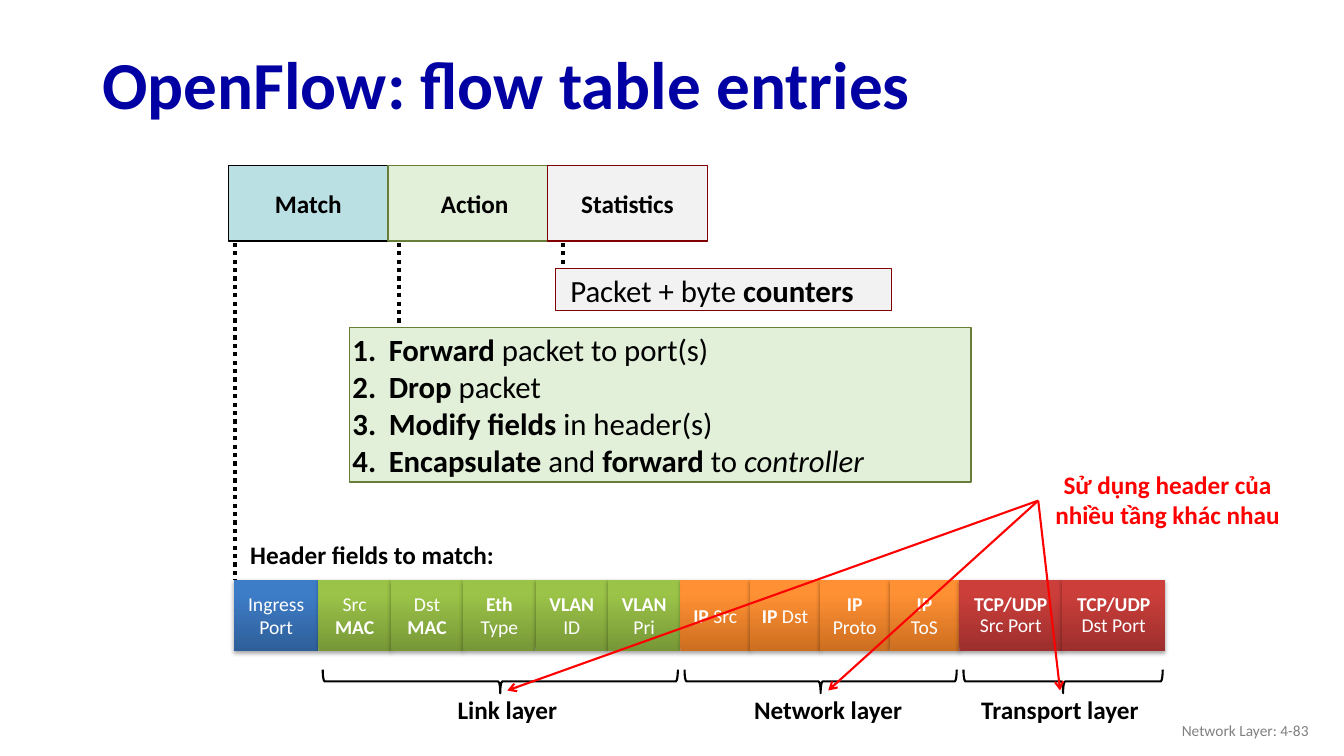
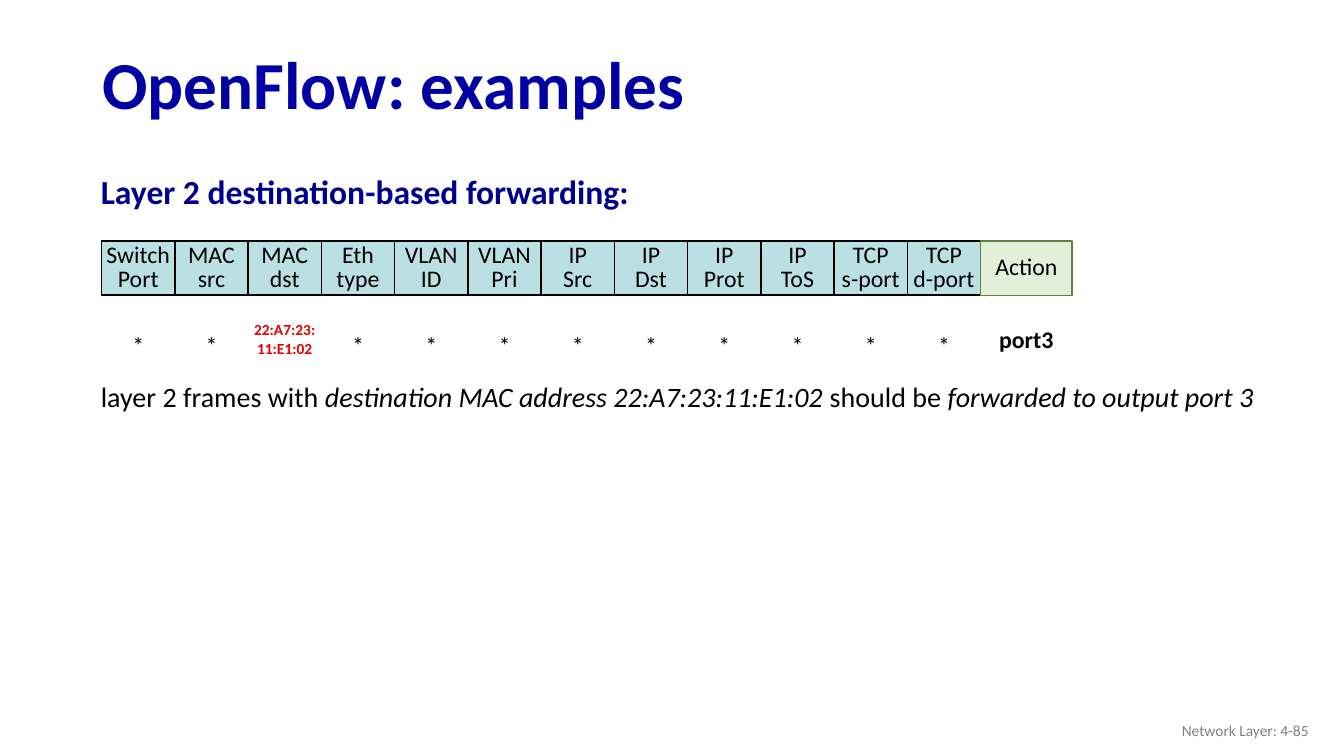
import lxml.etree
import pptx
import pptx.dml.color
import pptx.enum.dml
import pptx.enum.shapes
import pptx.enum.text
import pptx.oxml.ns
import pptx.util

RGB = pptx.dml.color.RGBColor
SHAPE = pptx.enum.shapes.MSO_SHAPE
ALIGN = pptx.enum.text.PP_ALIGN
ANCHOR = pptx.enum.text.MSO_ANCHOR

BLACK = RGB(0x00, 0x00, 0x00)
WHITE = RGB(0xFF, 0xFF, 0xFF)
GRAY = RGB(0x80, 0x80, 0x80)
RED = RGB(0xFF, 0x00, 0x00)
ADDRESS_RED = RGB(0xE4, 0x00, 0x00)
TITLE_BLUE = RGB(0x00, 0x00, 0xA3)
HEADING_BLUE = RGB(0x00, 0x00, 0x90)
MATCH_FILL = RGB(0xBB, 0xE0, 0xE3)
ACTION_FILL = RGB(0xE2, 0xF0, 0xD9)
ACTION_LINE = RGB(0x69, 0x7D, 0x3A)
STATS_FILL = RGB(0xF2, 0xF2, 0xF2)
STATS_LINE = RGB(0x80, 0x00, 0x00)
PORT_SHADES = RGB(0x2F, 0x5F, 0x99), RGB(0x3D, 0x7C, 0xC7)
LINK_SHADES = RGB(0x77, 0x97, 0x37), RGB(0x9B, 0xC3, 0x48)
NETWORK_SHADES = RGB(0xCC, 0x6E, 0x20), RGB(0xFF, 0x90, 0x34)
TRANSPORT_SHADES = RGB(0x9C, 0x2F, 0x2D), RGB(0xCB, 0x3E, 0x3A)

FONT = "Calibri"
COLUMNS, ROWS = 80, 45
CELL = pptx.util.Inches(7.5) / ROWS
FLUSH = (0, 0, 0, 0)
PADDED = (0.6, 0.3, 0.6, 0.3)


def grid(*cells):
    return [pptx.util.Emu(round(cell * CELL)) for cell in cells]


def add_xml(parent, tag, **attributes):
    return lxml.etree.SubElement(parent, pptx.oxml.ns.qn(tag), attributes)


def write(frame, paragraphs, size, color=BLACK, bold=False, align=ALIGN.LEFT,
          insets=FLUSH, anchor=ANCHOR.MIDDLE, spacing=None, numbered=False):
    frame.word_wrap = True
    frame.auto_size = pptx.enum.text.MSO_AUTO_SIZE.NONE
    frame.vertical_anchor = anchor
    (frame.margin_left, frame.margin_top,
     frame.margin_right, frame.margin_bottom) = grid(*insets)
    for index, runs in enumerate(paragraphs):
        paragraph = frame.paragraphs[0] if index == 0 else frame.add_paragraph()
        if numbered:
            properties = paragraph._p.get_or_add_pPr()
            hanging = grid(2.34, -2.16)
            properties.set("marL", str(hanging[0]))
            properties.set("indent", str(hanging[1]))
            add_xml(properties, "a:buFont", typeface="+mj-lt")
            add_xml(properties, "a:buAutoNum", type="arabicPeriod")
            paragraph.space_before = pptx.util.Pt(0)
        paragraph.alignment = align
        if spacing:
            paragraph.line_spacing = spacing
        font = paragraph.font
        font.name, font.size, font.bold = FONT, pptx.util.Pt(size), bold
        font.color.rgb = color
        for text, style in [(runs, "")] if isinstance(runs, str) else runs:
            run = paragraph.add_run()
            run.text = text
            if style == "b":
                run.font.bold = True
            elif style == "i":
                run.font.italic = True


def add_label(slide, area, paragraphs, size, **style):
    label = slide.shapes.add_textbox(*grid(*area))
    write(label.text_frame, paragraphs, size, **style)


def paint(box, fill, outline):
    box.fill.solid()
    box.fill.fore_color.rgb = fill
    box.line.color.rgb = outline
    box.line.width = pptx.util.Pt(1)


def add_box(slide, area, fill, outline, paragraphs, size, **style):
    box = slide.shapes.add_shape(SHAPE.RECTANGLE, *grid(*area))
    box.shadow.inherit = False
    paint(box, fill, outline)
    write(box.text_frame, paragraphs, size, **style)


def add_field(slide, area, shades, paragraphs, spacing):
    field = slide.shapes.add_shape(SHAPE.RECTANGLE, *grid(*area))
    field.line.fill.background()
    field.fill.gradient()
    field.fill.gradient_angle = 90
    for stop, shade, position in zip(field.fill.gradient_stops, shades, (0, 0.8)):
        stop.color.rgb = shade
        stop.position = position
    field.shadow.inherit = False
    effects = field.element.spPr.find(pptx.oxml.ns.qn("a:effectLst"))
    shadow = add_xml(effects, "a:outerShdw", blurRad=str(pptx.util.Pt(3.1)),
                     dist=str(pptx.util.Pt(1.8)), dir="5400000", rotWithShape="0")
    add_xml(add_xml(shadow, "a:srgbClr", val=str(BLACK)), "a:alpha", val="35000")
    write(field.text_frame, paragraphs, 14, color=WHITE, align=ALIGN.CENTER,
          insets=PADDED, spacing=spacing)


def add_line(slide, start, end, color, width, dotted=False, arrow=False):
    line = slide.shapes.add_connector(
        pptx.enum.shapes.MSO_CONNECTOR.STRAIGHT, *grid(*start, *end))
    line.line.color.rgb = color
    line.line.width = pptx.util.Pt(width)
    if dotted:
        line.line.dash_style = pptx.enum.dml.MSO_LINE.ROUND_DOT
    properties = line.element.spPr
    if arrow:
        add_xml(properties.find(pptx.oxml.ns.qn("a:ln")), "a:tailEnd", type="arrow")
    add_xml(properties, "a:effectLst")


def add_brace(slide, left, right, middle):
    depth, span = 1.4, right - left
    area = (left + right - depth) / 2, middle - span / 2, depth, span
    brace = slide.shapes.add_shape(SHAPE.LEFT_BRACE, *grid(*area))
    brace.rotation = 270
    brace.shadow.inherit = False
    brace.fill.background()
    brace.line.color.rgb = BLACK
    brace.line.width = pptx.util.Pt(1.5)


def place(placeholder, area):
    (placeholder.left, placeholder.top,
     placeholder.width, placeholder.height) = grid(*area)


def add_slide(deck, layout, title, number):
    slide = deck.slides.add_slide(deck.slide_layouts.get_by_name(layout))
    place(slide.shapes.title, (5.5, 2.25, 69, 5.9))
    write(slide.shapes.title.text_frame, [title], 48, color=TITLE_BLUE, bold=True,
          insets=PADDED, spacing=0.9)
    add_label(slide, (60.5, 42.3, 18, 2.4), [f"Network Layer: {number}"], 11,
              color=GRAY, align=ALIGN.RIGHT, insets=PADDED)
    return slide


def add_header_fields(slide):
    top, height = 34.5, 4.25
    note_tip = (61.8, 29.8)
    layers = [
        (None, None, 13.92, 18.96, PORT_SHADES, None, [["Ingress Port"]]),
        ("Link layer", 30.2, 18.96, 40.5, LINK_SHADES, None, [
            [[("Src ", ""), ("MAC", "b")]],
            [[("Dst ", ""), ("MAC", "b")]],
            [[("Eth ", "b"), ("Type", "")]],
            [[("VLAN", "b")], "ID"],
            [[("VLAN", "b")], "Pri"]]),
        ("Network layer", 49.3, 40.5, 57.1, NETWORK_SHADES, None, [
            [[("IP ", "b"), ("Src", "")]],
            [[("IP", "b"), (" Dst", "")]],
            [[("IP", "b"), (" Proto", "")]],
            [[("IP", "b")], "ToS"]]),
        ("Transport layer", 63.1, 57.1, 69.36, TRANSPORT_SHADES, pptx.util.Pt(14.8), [
            [[("TCP/UDP ", "b"), ("Src Port", "")]],
            [[("TCP/UDP ", "b"), ("Dst Port", "")]]]),
    ]
    for name, center, left, right, shades, spacing, fields in layers:
        width = (right - left) / len(fields)
        for index, field in enumerate(fields):
            add_field(slide, (left + index * width, top, width, height),
                      shades, field, spacing)
        if name:
            add_brace(slide, left + 0.25, right - 0.15, 40.56)
            add_label(slide, (center - 7.5, 41.05, 15, 2.4), [name], 18, bold=True,
                      align=ALIGN.CENTER, insets=PADDED, anchor=ANCHOR.TOP)
    for name, center, *_ in layers:
        if name:
            add_line(slide, note_tip, (center, 41.1), RED, 1.5, arrow=True)


def build_entries(deck):
    slide = add_slide(deck, "Title and Content", "OpenFlow: flow table entries", "4-83")
    actions = slide.placeholders[1]
    place(actions, (20.8, 19.5, 37, 9.2))
    paint(actions, ACTION_FILL, ACTION_LINE)
    write(actions.text_frame, [
        [("Forward ", "b"), ("packet to port(s)", "")],
        [("Drop", "b"), (" packet", "")],
        [("Modify fields", "b"), (" in header(s)", "")],
        [("Encapsulate ", "b"), ("and ", ""), ("forward", "b"), (" to ", ""),
         ("controller", "i")],
    ], 22, numbered=True)

    entry_parts = [("Match", MATCH_FILL, BLACK, 0),
                   ("Action", ACTION_FILL, ACTION_LINE, 0.8),
                   ("Statistics", STATS_FILL, STATS_LINE, 0)]
    for index, (name, fill, outline, shift) in enumerate(entry_parts):
        add_box(slide, (13.6 + index * 9.5, 9.85, 9.5, 4.5), fill, outline, [name], 18,
                bold=True, align=ALIGN.CENTER, insets=(shift, 0, 0, 0))
    for column, end in [(14, 34.5), (23.75, 19.45), (33.5, 16)]:
        add_line(slide, (column, 14.45), (column, end), BLACK, 3, dotted=True)

    add_box(slide, (33.05, 16, 20, 2.5), STATS_FILL, STATS_LINE,
            [[("Packet + byte ", ""), ("counters", "b")]], 22, insets=(0.9, 0, 0, 0))
    heading = dict(bold=True, align=ALIGN.CENTER, insets=PADDED, anchor=ANCHOR.TOP)
    add_label(slide, (14.15, 31.8, 16, 2.4), ["Header fields to match:"], 18, **heading)
    add_label(slide, (61.8, 27.65, 15.4, 4.25),
              ["Sử dụng header của nhiều tầng khác nhau"], 18, color=RED, **heading)
    add_header_fields(slide)


def build_examples(deck):
    slide = add_slide(deck, "Title Only", "OpenFlow: examples", "4-85")
    add_label(slide, (6, 10.2, 40, 2.4), ["Layer 2 destination-based forwarding:"], 24,
              color=HEADING_BLUE, bold=True)

    left, width = 6.05, 4.36
    match_fields = ["Switch Port", "MAC src", "MAC dst", "Eth type", "VLAN ID",
                    "VLAN Pri", "IP Src", "IP Dst", "IP Prot", "IP ToS",
                    "TCP s-port", "TCP d-port"]
    header = dict(align=ALIGN.CENTER, spacing=0.85)
    for index, field in enumerate(match_fields):
        column = left + index * width
        add_box(slide, (column, 14.35, width, 3.2), MATCH_FILL, BLACK,
                field.split(), 17, **header)
        if field == "MAC dst":
            add_label(slide, (column, 19.15, width, 2.05), ["22:A7:23:", "11:E1:02"], 11,
                      color=ADDRESS_RED, bold=True, align=ALIGN.CENTER)
        else:
            add_label(slide, (column, 19.5, width, 2.1), ["*"], 17, align=ALIGN.CENTER)

    action = left + len(match_fields) * width
    add_box(slide, (action, 14.35, 5.45, 3.25), ACTION_FILL, ACTION_LINE,
            ["Action"], 17, **header)
    add_label(slide, (action, 19.15, 5.45, 2.1), ["port3"], 17, bold=True,
              align=ALIGN.CENTER)
    add_label(slide, (6, 22.55, 69.6, 2.05), [[
        ("layer 2 frames with ", ""),
        ("destination MAC address 22:A7:23:11:E1:02 ", "i"),
        ("should be ", ""),
        ("forwarded to output port 3", "i")]], 20)


def main():
    deck = pptx.Presentation()
    deck.slide_width, deck.slide_height = grid(COLUMNS, ROWS)
    build_entries(deck)
    build_examples(deck)
    deck.save("out.pptx")


if __name__ == "__main__":
    main()
